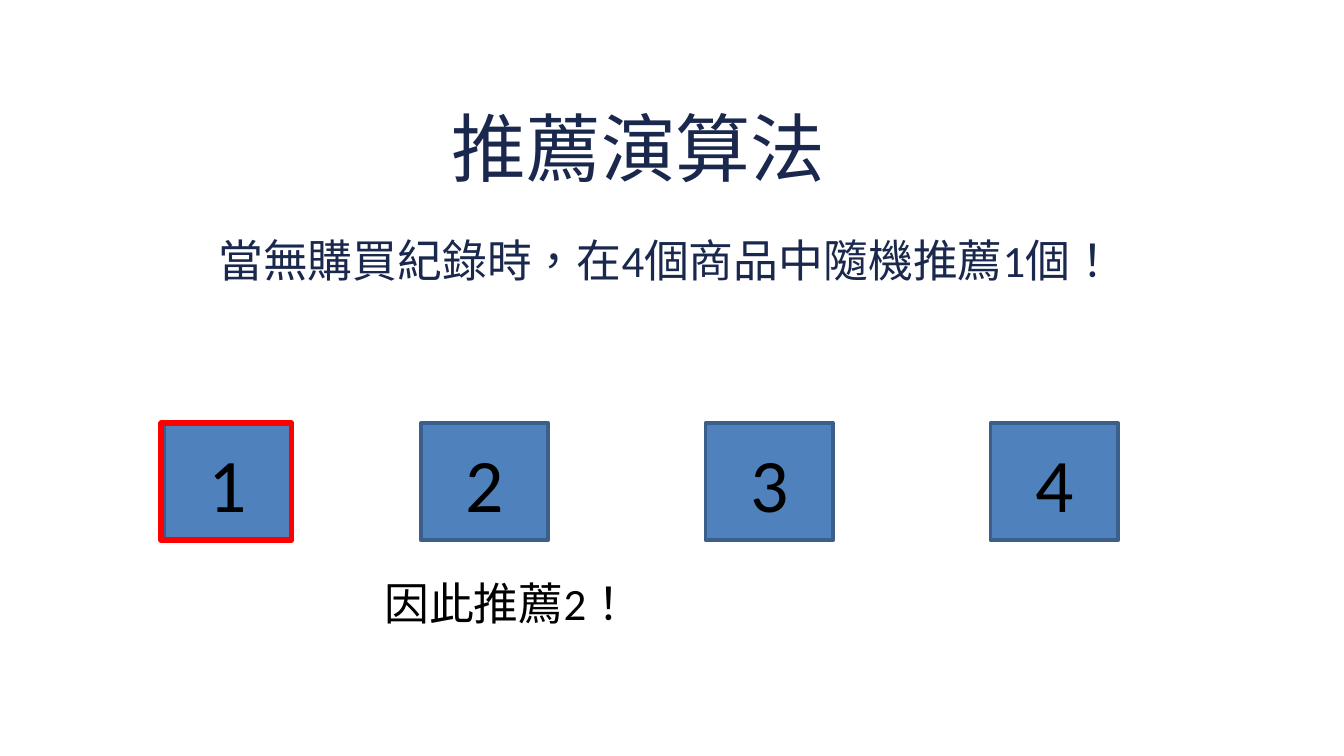
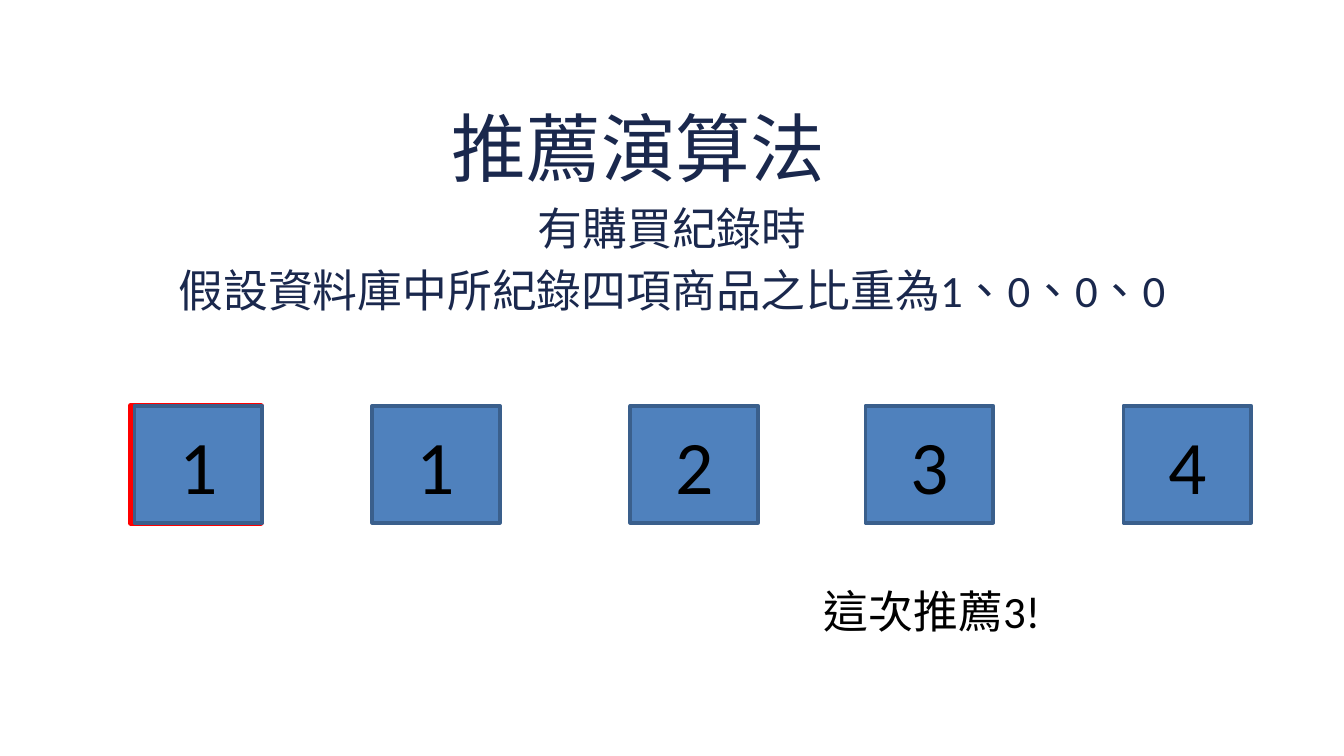
from pptx import Presentation
from pptx.dml.color import RGBColor
from pptx.enum.lang import MSO_LANGUAGE_ID
from pptx.enum.shapes import MSO_SHAPE
from pptx.enum.text import MSO_ANCHOR, MSO_AUTO_SIZE, PP_ALIGN
from pptx.oxml.ns import qn
from pptx.util import Inches, Pt

RECTANGLE = MSO_SHAPE.RECTANGLE
ROUNDED = MSO_SHAPE.ROUNDED_RECTANGLE
CENTER = PP_ALIGN.CENTER
MIDDLE = MSO_ANCHOR.MIDDLE
TOP = MSO_ANCHOR.TOP
NO_AUTOFIT = MSO_AUTO_SIZE.NONE
CHINESE = MSO_LANGUAGE_ID.TRADITIONAL_CHINESE

NAVY = RGBColor(0x1A, 0x28, 0x4D)
BLUE = RGBColor(0x4F, 0x81, 0xBD)
DARK_BLUE = RGBColor(0x3A, 0x5F, 0x8C)
RED = RGBColor(0xFF, 0x00, 0x00)
BLACK = RGBColor(0x00, 0x00, 0x00)

FONT = "Calibri"
TITLE = "推薦演算法"
TITLE_BOX = (1.2, 0.62, 7.1, 0.94)
PRODUCT_SIZE = (0.95, 0.87)
MARKER_SIZE = (0.97, 0.87)
RESULT_SIZE = (2.17, 0.57)


def inches(box):
    return [Inches(length) for length in box]


def format_text(frame, size, color, align=None):
    for para in frame.paragraphs:
        para.alignment = align
        for span in para.runs:
            span.font.name = FONT
            span.font.size = Pt(size)
            span.font.color.rgb = color
            span.font.language_id = CHINESE


def fill_placeholder(holder, box, text, size, anchor):
    holder.left, holder.top, holder.width, holder.height = inches(box)
    frame = holder.text_frame
    frame.text = text
    frame.auto_size = NO_AUTOFIT
    frame.vertical_anchor = anchor
    format_text(frame, size, NAVY, CENTER)


def add_headed_page(deck, body_box, lines):
    page = deck.slides.add_slide(deck.slide_layouts[1])
    fill_placeholder(page.shapes.title, TITLE_BOX, TITLE, 40, MIDDLE)
    body = page.placeholders[1]
    fill_placeholder(body, body_box, "\n".join(lines), 24, TOP)
    for para in body.text_frame.paragraphs:
        properties = para._p.get_or_add_pPr()
        properties.set("marL", "0")
        properties.set("indent", "0")
        properties.append(properties.makeelement(qn("a:buNone"), {}))
    return page


def add_outlined(page, kind, box, color, width):
    shape = page.shapes.add_shape(kind, *inches(box))
    shape.shadow.inherit = False
    shape.line.color.rgb = color
    shape.line.width = Pt(width)
    return shape


def add_products(page, top, products):
    """Draw one numbered square for each (left, number) pair."""
    for left, number in products:
        square = add_outlined(page, RECTANGLE, (left, top, *PRODUCT_SIZE), DARK_BLUE, 2)
        square.fill.solid()
        square.fill.fore_color.rgb = BLUE
        frame = square.text_frame
        frame.text = number
        frame.vertical_anchor = MIDDLE
        format_text(frame, 40.5, BLACK, CENTER)


def add_marker(page, left, top):
    marker = add_outlined(page, ROUNDED, (left, top, *MARKER_SIZE), RED, 3)
    marker.adjustments[0] = 0
    marker.fill.background()


def add_result(page, left, top, text):
    frame = page.shapes.add_textbox(*inches((left, top, *RESULT_SIZE))).text_frame
    frame.word_wrap = True
    frame.margin_left = frame.margin_right = Inches(0.07)
    frame.margin_top = frame.margin_bottom = Inches(0.04)
    frame.text = text
    para = frame.paragraphs[0]
    para.line_spacing = 0.9
    para.space_before = Pt(10)
    format_text(frame, 24, BLACK)


def add_random_page(deck):
    page = add_headed_page(
        deck, (0.65, 1.68, 8.62, 0.58), ["當無購買紀錄時，在4個商品中隨機推薦1個！"])
    top = 3.15
    add_products(page, top, zip((1.22, 3.13, 5.25, 7.37), "1234"))
    add_marker(page, 1.2, top)
    add_result(page, 2.79, 4.29, "因此推薦2！")


def add_weighted_page(deck):
    page = add_headed_page(
        deck, (0.69, 1.44, 8.62, 1.12),
        ["有購買紀錄時", "假設資料庫中所紀錄四項商品之比重為1、0、0、0"])
    top = 3.02
    add_marker(page, 0.97, top)
    add_products(page, top, zip((1, 2.77, 4.69, 6.44, 8.36), "11234"))
    add_result(page, 6.06, 4.35, "這次推薦3!")


def main():
    deck = Presentation()
    deck.slide_width = Inches(10)
    deck.slide_height = deck.slide_width * 9 // 16
    add_random_page(deck)
    add_weighted_page(deck)
    deck.save("out.pptx")


if __name__ == "__main__":
    main()
